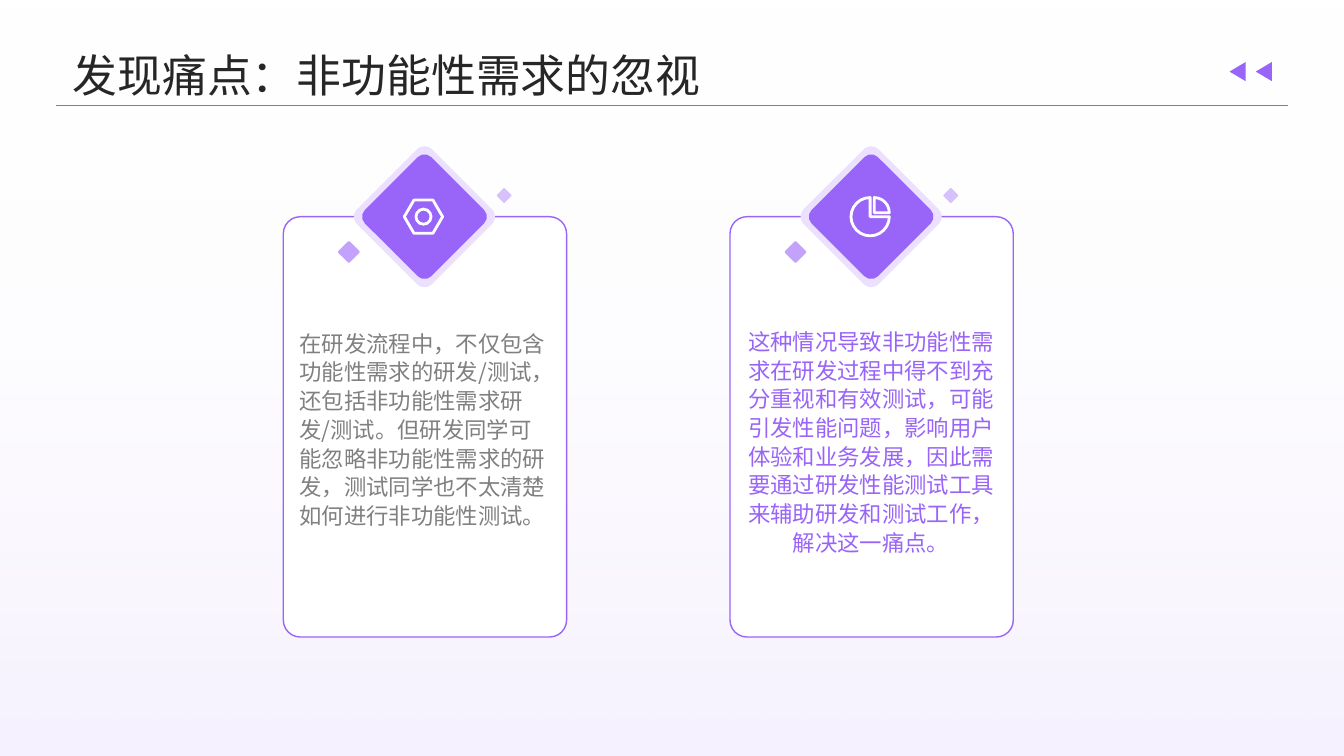
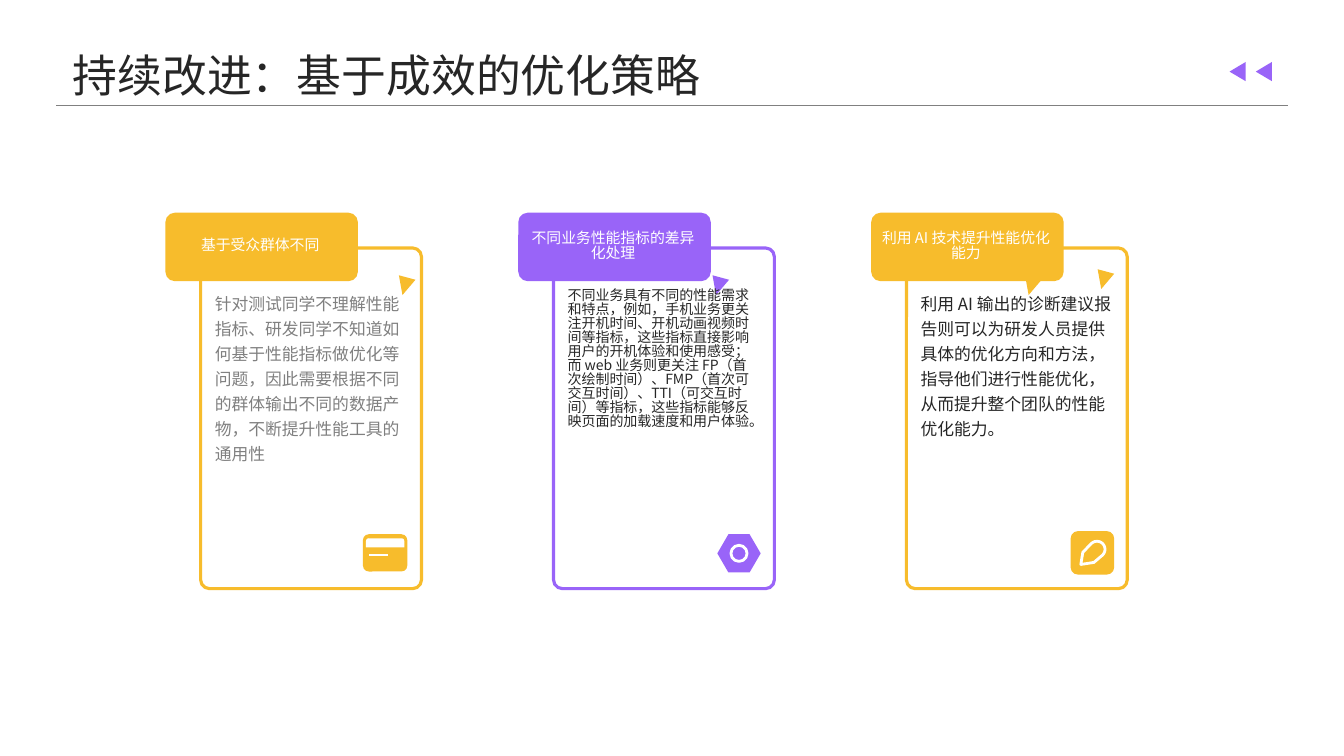
from math import cos, radians, sin

from lxml import etree
from pptx import Presentation
from pptx.dml.color import RGBColor
from pptx.enum import shapes, text
from pptx.oxml.ns import qn
from pptx.util import Inches, Pt

FONT = "Noto Sans CJK SC"
PURPLE = RGBColor(0x99, 0x64, 0xF8)
MID_PURPLE = RGBColor(0xC2, 0xA2, 0xFB)
SOFT_PURPLE = RGBColor(0xD6, 0xC1, 0xFC)
PALE_PURPLE = RGBColor(0xEB, 0xE0, 0xFE)
YELLOW = RGBColor(0xF7, 0xBC, 0x2C)
WHITE = RGBColor(0xFF, 0xFF, 0xFF)
INK = RGBColor(0x26, 0x26, 0x26)
GREY = RGBColor(0x80, 0x80, 0x80)
SHAPE = shapes.MSO_SHAPE
LEFT, CENTER = text.PP_ALIGN.LEFT, text.PP_ALIGN.CENTER
TOP, MIDDLE = text.MSO_ANCHOR.TOP, text.MSO_ANCHOR.MIDDLE


class Deck:
    def __init__(self, width, height):
        self.prs = Presentation()
        self.prs.slide_width, self.prs.slide_height = Inches(width), Inches(height)
        self.width, self.height = width, height
        self.slide = None

    def new_slide(self):
        self.slide = self.prs.slides.add_slide(self.prs.slide_layouts[6])

    def paint(self, item, fill, line, weight):
        item.shadow.inherit = False
        if fill is None:
            item.fill.background()
        else:
            item.fill.solid()
            item.fill.fore_color.rgb = fill
        if line is None:
            item.line.fill.background()
        else:
            item.line.color.rgb = line
            item.line.width = Pt(weight)
        return item

    def shape(self, kind, x, y, w, h, fill=None, line=None, weight=1, turn=0, adjust=None):
        item = self.slide.shapes.add_shape(kind, Inches(x), Inches(y), Inches(w), Inches(h))
        item.rotation = turn
        if adjust is not None:
            item.adjustments[0] = adjust
        return self.paint(item, fill, line, weight)

    def outline(self, points, line, weight):
        spots = [(Inches(x), Inches(y)) for x, y in points]
        builder = self.slide.shapes.build_freeform(*spots[0])
        builder.add_line_segments(spots[1:], close=True)
        return self.paint(builder.convert_to_shape(), None, line, weight)

    def line(self, x1, y1, x2, y2, color, weight):
        rule = self.slide.shapes.add_connector(
            shapes.MSO_CONNECTOR.STRAIGHT, Inches(x1), Inches(y1), Inches(x2), Inches(y2))
        rule.line.color.rgb = color
        rule.line.width = Pt(weight)
        etree.SubElement(rule._element.spPr, qn("a:effectLst"))

    def text(self, words, x, y, w, h, size, color, align=LEFT, anchor=MIDDLE, spacing=1.0):
        box = self.slide.shapes.add_textbox(Inches(x), Inches(y), Inches(w), Inches(h))
        frame = box.text_frame
        frame.word_wrap = True
        frame.vertical_anchor = anchor
        frame.margin_left = frame.margin_right = frame.margin_top = frame.margin_bottom = 0
        paragraph = frame.paragraphs[0]
        paragraph.alignment = align
        paragraph.line_spacing = spacing
        run = paragraph.add_run()
        run.text = words
        run.font.size = Pt(size)
        run.font.color.rgb = color
        run.font.name = FONT
        etree.SubElement(run._r.get_or_add_rPr(), qn("a:ea"), typeface=FONT)

    def title(self, words):
        self.text(words, 0.72, 0.46, 11.88, 0.51, 32, INK, spacing=1.1)
        self.line(0.56, 1.05, 12.77, 1.05, GREY, 0.75)
        for x in (12.18, 12.44):
            self.shape(SHAPE.ISOSCELES_TRIANGLE, x, 0.63, 0.19, 0.16, PURPLE, turn=270)

    def haze(self):
        veil = self.shape(SHAPE.RECTANGLE, 0, 0, self.width, self.height, WHITE)
        veil.fill.gradient()
        veil.fill.gradient_angle = 90
        for stop, color, alpha in zip(veil.fill.gradient_stops, (PALE_PURPLE, WHITE), (43, 0)):
            stop.color.rgb = color
            tint = stop._gs.find(qn("a:srgbClr"))
            etree.SubElement(tint, qn("a:alpha"), val=str(alpha * 1000))

    def diamond(self, cx, cy, side, color):
        self.shape(SHAPE.ROUNDED_RECTANGLE, cx - side / 2, cy - side / 2, side, side,
                   color, turn=45, adjust=0.1)

    def nut_icon(self, cx, cy, w, h, ring, fill, hexagon_line):
        self.shape(SHAPE.HEXAGON, cx - w / 2, cy - h / 2, w, h, fill, hexagon_line, 2, adjust=0.29)
        self.shape(SHAPE.OVAL, cx - ring / 2, cy - ring / 2, ring, ring, None, WHITE, 2)

    def pie_icon(self, cx, cy):
        self.shape(SHAPE.PIE, cx - 0.19, cy - 0.19, 0.38, 0.38, None, WHITE, 2)
        self.shape(SHAPE.PIE_WEDGE, cx + 0.04, cy - 0.19, 0.15, 0.15, None, WHITE, 2, turn=90)

    def card_icon(self, x, y):
        self.shape(SHAPE.ROUNDED_RECTANGLE, x, y, 0.44, 0.37, YELLOW, adjust=0.16)
        self.shape(SHAPE.ROUND_2_SAME_RECTANGLE, x + 0.03, y + 0.04, 0.38, 0.09, WHITE, adjust=0.3)
        self.line(x + 0.06, y + 0.21, x + 0.25, y + 0.21, WHITE, 1.5)

    def pen_icon(self, x, y):
        self.shape(SHAPE.ROUNDED_RECTANGLE, x, y, 0.43, 0.43, YELLOW, adjust=0.16)
        cap = [(x + 0.26 + 0.08 * cos(radians(a)), y + 0.18 + 0.08 * sin(radians(a)))
               for a in range(-135, 46, 15)]
        nib = [(x + 0.23, y + 0.31), (x + 0.1, y + 0.33), (x + 0.12, y + 0.21)]
        self.outline(cap + nib, WHITE, 2)

    def pain_card(self, x, words, height, color, align):
        cx, cy = x + 1.4, 2.15
        self.shape(SHAPE.ROUNDED_RECTANGLE, x, cy, 2.81, 4.17, WHITE, PURPLE, 1, adjust=0.06)
        self.diamond(cx, cy, 1.05, PALE_PURPLE)
        self.diamond(cx, cy, 0.93, PURPLE)
        self.diamond(cx - 0.75, cy + 0.35, 0.16, MID_PURPLE)
        self.diamond(cx + 0.79, cy - 0.21, 0.11, SOFT_PURPLE)
        self.text(words, x + 0.16, 2.99, 2.48, height, 16, color, align, spacing=1.3 * LEADING)

    def strategy_card(self, x, heading, words, accent, size, color, spacing, pointers):
        self.shape(SHAPE.ROUNDED_RECTANGLE, x, 2.46, 2.19, 3.38, None, accent, 2.25, adjust=0.04)
        self.shape(SHAPE.ROUNDED_RECTANGLE, x - 0.35, 2.11, 1.91, 0.68, accent, adjust=0.14)
        for offset, y in pointers:
            self.shape(SHAPE.ISOSCELES_TRIANGLE, x + offset, y, 0.17, 0.18, accent, turn=195)
        self.text(heading, x - 0.27, 2.22, 1.72, 0.45, 10.6, WHITE, CENTER, spacing=LEADING)
        self.text(words, x + 0.14, 2.87, 1.91, 2.46, size, color, anchor=TOP,
                  spacing=spacing * LEADING)


LEADING = 0.83

PAINS = [
    ("在研发流程中，不仅包含功能性需求的研发/测试，还包括非功能性需求研发/测试。"
     "但研发同学可能忽略非功能性需求的研发，测试同学也不太清楚如何进行非功能性测试。",
     2.52, GREY, LEFT),
    ("这种情况导致非功能性需求在研发过程中得不到充分重视和有效测试，可能引发性能问题，"
     "影响用户体验和业务发展，因此需要通过研发性能测试工具来辅助研发和测试工作，解决这一痛点。",
     2.77, PURPLE, CENTER),
]

STRATEGIES = [
    ("基于受众群体不同",
     "针对测试同学不理解性能指标、研发同学不知道如何基于性能指标做优化等问题，"
     "因此需要根据不同的群体输出不同的数据产物，不断提升性能工具的通用性",
     YELLOW, 12, GREY, 1.5, [(1.94, 2.75)]),
    ("不同业务性能指标的差异化处理",
     "不同业务具有不同的性能需求和特点，例如，手机业务更关注开机时间、开机动画视频时间等指标，"
     "这些指标直接影响用户的开机体验和使用感受；而 web 业务则更关注 FP（首次绘制时间）、"
     "FMP（首次可交互时间）、TTI（可交互时间）等指标，这些指标能够反映页面的加载速度和用户体验。",
     PURPLE, 10, INK, 1.0, [(1.55, 2.75)]),
    ("利用 AI 技术提升性能优化能力",
     "利用 AI 输出的诊断建议报告则可以为研发人员提供具体的优化方向和方法，"
     "指导他们进行性能优化，从而提升整个团队的性能优化能力。",
     YELLOW, 12, INK, 1.5, [(1.15, 2.75), (1.87, 2.69)]),
]


def main():
    deck = Deck(13.33, 7.5)

    deck.new_slide()
    deck.haze()
    deck.title("发现痛点：非功能性需求的忽视")
    for index, pain in enumerate(PAINS):
        deck.pain_card(2.81 + 4.43 * index, *pain)
    deck.nut_icon(4.2, 2.15, 0.38, 0.33, 0.15, None, WHITE)
    deck.pie_icon(8.63, 2.15)

    deck.new_slide()
    deck.title("持续改进：基于成效的优化策略")
    for index, strategy in enumerate(STRATEGIES):
        deck.strategy_card(1.99 + 3.5 * index, *strategy)
    deck.card_icon(3.6, 5.3)
    deck.nut_icon(7.33, 5.49, 0.43, 0.38, 0.16, PURPLE, None)
    deck.pen_icon(10.62, 5.27)

    deck.prs.save("out.pptx")


if __name__ == "__main__":
    main()
